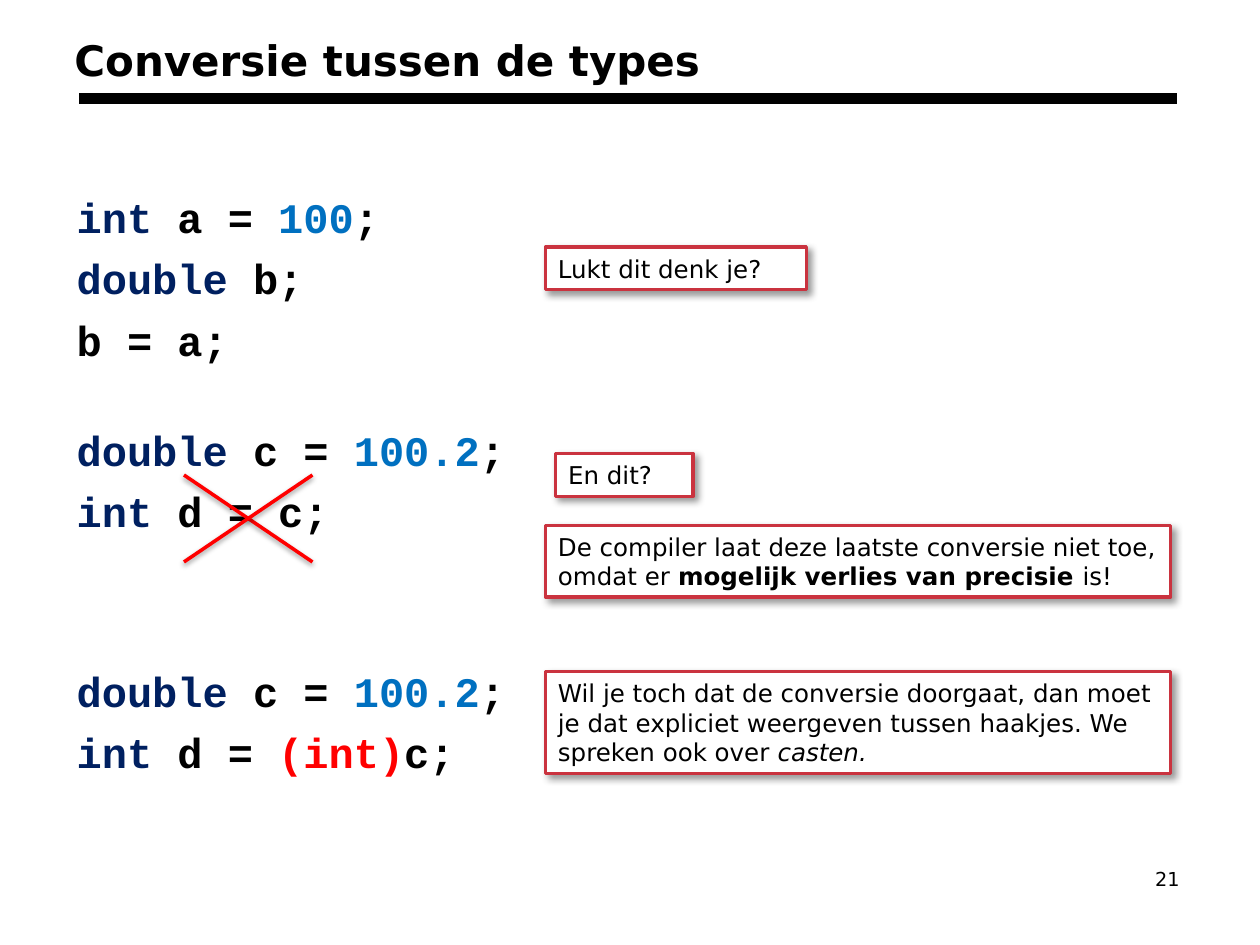
from dataclasses import dataclass

from lxml import etree
from pptx import Presentation
from pptx.dml.color import RGBColor
from pptx.enum.shapes import MSO_CONNECTOR, MSO_SHAPE
from pptx.enum.text import MSO_ANCHOR, PP_ALIGN
from pptx.oxml.ns import qn
from pptx.util import Inches, Pt

LINE = MSO_CONNECTOR.STRAIGHT
RECT = MSO_SHAPE.RECTANGLE
TOP, MIDDLE = MSO_ANCHOR.TOP, MSO_ANCHOR.MIDDLE
LEFT = PP_ALIGN.LEFT

SANS, MONO = "DejaVu Sans", "Courier New"
BLACK, WHITE, RED = "000000", "FFFFFF", "FF0000"
NAVY, BLUE, CRIMSON = "002060", "0070C0", "CA333F"


@dataclass
class Span:
    text: str
    color: str = BLACK
    bold: bool = False
    italic: bool = False


@dataclass
class Row:
    spans: list[Span]
    gap: float = 6.3


@dataclass
class Note:
    left: float
    top: float
    width: float
    height: float
    spans: list[Span]


@dataclass
class Shade:
    alpha: int
    blur: float
    dist: float
    angle: int


NOTE_SHADE = Shade(40, 4, 3, 45)
CROSS_SHADE = Shade(38, 3.1, 1.6, 90)


def code(*parts: tuple[str, str], gap: float = 6.3) -> Row:
    """Make a row of bold code from text and colour pairs."""
    return Row([Span(text, color, True) for text, color in parts], gap)


def declare(kind: str, name: str, value: str, gap: float = 6.3) -> Row:
    return code((kind, NAVY), (f" {name} = ", BLACK), (value, BLUE),
                (";", BLACK), gap=gap)


ROWS = [
    declare("int", "a", "100"),
    code(("double", NAVY), (" b;", BLACK)),
    code(("b = a;", BLACK)),
    declare("double", "c", "100.2", gap=34),
    code(("int", NAVY), (" d = c;", BLACK)),
    declare("double", "c", "100.2", gap=74),
    code(("int", NAVY), (" d = ", BLACK), ("(int)", RED), ("c;", BLACK)),
]

NOTES = [
    Note(4.33, 1.96, 2.07, 0.34, [Span("Lukt dit denk je?")]),
    Note(4.41, 3.6, 1.09, 0.34, [Span("En dit?")]),
    Note(4.33, 4.17, 4.96, 0.57, [
        Span("De compiler laat deze laatste conversie niet toe, omdat er "),
        Span("mogelijk verlies van precisie ", bold=True),
        Span("is!"),
    ]),
    Note(4.33, 5.33, 4.96, 0.81, [
        Span("Wil je toch dat de conversie doorgaat, dan moet je dat "
             "expliciet weergeven tussen haakjes. We spreken ook over "),
        Span("casten.", italic=True),
    ]),
]


def rgb(color: str) -> RGBColor:
    return RGBColor.from_string(color)


def place(shape, left: float, top: float, width: float, height: float) -> None:
    shape.left, shape.top = Inches(left), Inches(top)
    shape.width, shape.height = Inches(width), Inches(height)


def write(para, spans: list[Span], font: str, size: float) -> None:
    para.alignment = LEFT
    for span in spans:
        run = para.add_run()
        run.text = span.text
        run.font.name, run.font.size = font, Pt(size)
        run.font.bold, run.font.italic = span.bold, span.italic
        run.font.color.rgb = rgb(span.color)


def set_shade(shape, shade: Shade | None) -> None:
    """Give the shape this shadow, or none at all."""
    props = shape._element.spPr
    effects = etree.SubElement(props, qn("a:effectLst"))
    if shade is None:
        return
    outer = etree.SubElement(
        effects, qn("a:outerShdw"), blurRad=str(Pt(shade.blur)),
        dist=str(Pt(shade.dist)), dir=str(shade.angle * 60000),
        rotWithShape="0")
    tint = etree.SubElement(outer, qn("a:srgbClr"), val=BLACK)
    etree.SubElement(tint, qn("a:alpha"), val=str(shade.alpha * 1000))


def draw_line(slide, start: tuple[float, float], end: tuple[float, float],
              color: str, width: float, shade: Shade | None = None) -> None:
    line = slide.shapes.add_connector(
        LINE, *(Inches(n) for n in start + end))
    line.line.color.rgb = rgb(color)
    line.line.width = Pt(width)
    set_shade(line, shade)


def draw_note(slide, note: Note) -> None:
    box = slide.shapes.add_shape(RECT, *(
        Inches(n) for n in (note.left, note.top, note.width, note.height)))
    box.fill.solid()
    box.fill.fore_color.rgb = rgb(WHITE)
    box.line.color.rgb = rgb(CRIMSON)
    box.line.width = Pt(2)
    set_shade(box, NOTE_SHADE)
    frame = box.text_frame
    frame.word_wrap, frame.vertical_anchor = True, MIDDLE
    write(frame.paragraphs[0], note.spans, SANS, 14)


def draw_text(slide, left: float, top: float, width: float, height: float,
              rows: list[Row], font: str, size: float) -> None:
    box = slide.shapes.add_textbox(
        *(Inches(n) for n in (left, top, width, height)))
    frame = box.text_frame
    frame.word_wrap = True
    for i, row in enumerate(rows):
        para = frame.add_paragraph() if i else frame.paragraphs[0]
        para.space_before = Pt(row.gap)
        write(para, row.spans, font, size)


def main() -> None:
    deck = Presentation()
    deck.slide_width, deck.slide_height = Inches(10), Inches(7.5)
    slide = deck.slides.add_slide(deck.slide_layouts[5])

    draw_line(slide, (0.63, 0.78), (9.34, 0.78), BLACK, 6)
    draw_text(slide, 9.07, 6.83, 0.52, 0.29, [Row([Span("21")], 0)], SANS, 11)

    title = slide.shapes.title
    place(title, 0.49, 0.22, 8.54, 1.25)
    title.text_frame.vertical_anchor = TOP
    write(title.text_frame.paragraphs[0],
          [Span("Conversie tussen de types", bold=True)], SANS, 24)

    draw_text(slide, 0.51, 1.47, 9, 5.26, ROWS, MONO, 24)

    left, right, top, bottom = 1.46, 2.48, 3.77, 4.46
    draw_line(slide, (left, top), (right, bottom), RED, 2, CROSS_SHADE)
    draw_line(slide, (right, top), (left, bottom), RED, 2, CROSS_SHADE)

    for note in NOTES:
        draw_note(slide, note)

    deck.save("out.pptx")


if __name__ == "__main__":
    main()
